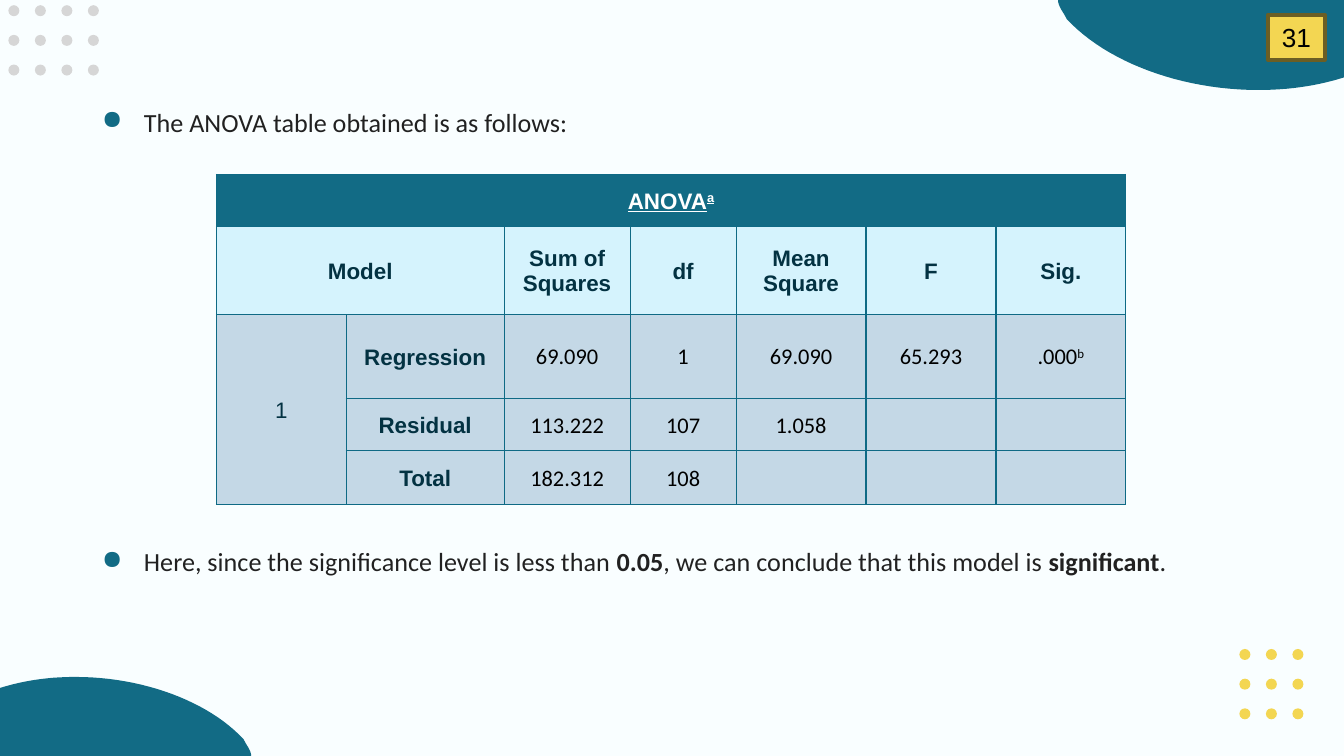
from lxml import etree
from pptx import Presentation
from pptx.dml.color import RGBColor
from pptx.enum.shapes import MSO_SHAPE
from pptx.enum.text import MSO_ANCHOR, PP_ALIGN
from pptx.oxml.ns import qn
from pptx.util import Pt

RECTANGLE, OVAL = MSO_SHAPE.RECTANGLE, MSO_SHAPE.OVAL
CENTER, MIDDLE = PP_ALIGN.CENTER, MSO_ANCHOR.MIDDLE

PAPER = RGBColor(0xF9, 0xFE, 0xFF)
TEAL = RGBColor(0x12, 0x6B, 0x85)
GRID = RGBColor(0x0F, 0x6A, 0x85)
NAVY = RGBColor(0x03, 0x32, 0x42)
PALE = RGBColor(0xD5, 0xF3, 0xFD)
STEEL = RGBColor(0xC4, 0xD8, 0xE6)
GRAY = RGBColor(0xD6, 0xD6, 0xD6)
YELLOW = RGBColor(0xF3, 0xD6, 0x52)
OLIVE = RGBColor(0x6B, 0x5E, 0x24)
INK = RGBColor(0x21, 0x21, 0x21)
BLACK = RGBColor(0, 0, 0)
WHITE = RGBColor(0xFF, 0xFF, 0xFF)

# Outline of the corner blob in fractions of its box, as cubic curves.
BLOB_CURVES = [
    [(0.3, 0), (0.2, 0), (0.1, 0.04), (0, 0.14)],
    [(1, 1), (1, 0.93), (0.98, 0.86), (0.97, 0.79)],
    [(0.97, 0.79), (0.83, 0.31), (0.57, 0), (0.3, 0)],
]
CURVE_STEPS = 24

COLUMN_WIDTHS = [69.6, 84.6, 67.5, 56.8, 69.6, 69.6, 69.6]
ROW_HEIGHTS = [28, 47.2, 45, 28, 28.8]
# A caret marks the start of a superscript.
ANOVA_ROWS = [
    ["ANOVA^a", "", "", "", "", "", ""],
    ["Model", "", "Sum of Squares", "df", "Mean Square", "F", "Sig."],
    ["1", "Regression", "69.090", "1", "69.090", "65.293", ".000^b"],
    ["", "Residual", "113.222", "107", "1.058", "", ""],
    ["", "Total", "182.312", "108", "", "", ""],
]
MERGES = [((0, 0), (0, 6)), ((1, 0), (1, 1)), ((2, 0), (4, 0))]


def paint(shape, color):
    shape.shadow.inherit = False
    shape.fill.solid()
    shape.fill.fore_color.rgb = color
    shape.line.fill.background()


def set_font(font, name, size, color, bold=False):
    font.name, font.size, font.bold = name, Pt(size), bold
    font.color.rgb = color


def curve_points(start, pull_out, pull_in, end):
    for step in range(CURVE_STEPS + 1):
        t = step / CURVE_STEPS
        weights = ((1 - t) ** 3, 3 * t * (1 - t) ** 2, 3 * t * t * (1 - t), t ** 3)
        corners = (start, pull_out, pull_in, end)
        yield tuple(sum(w * c[axis] for w, c in zip(weights, corners)) for axis in (0, 1))


def add_blob(page, left, top, width, height, turn=0):
    top_edge, right_edge, back = [list(curve_points(*curve)) for curve in BLOB_CURVES]
    outline = [(Pt(left + x * width), Pt(top + y * height))
               for x, y in top_edge + [(0, 1)] + right_edge + back]
    builder = page.shapes.build_freeform(*outline[0])
    builder.add_line_segments(outline[1:], close=True)
    blob = builder.convert_to_shape()
    blob.rotation = turn
    paint(blob, TEAL)


def add_dots(page, left, top, columns, rows, color):
    for column in range(columns):
        for row in range(rows):
            dot = page.shapes.add_shape(OVAL, Pt(left + column * 14.2), Pt(top + row * 15.9),
                                        Pt(5.9), Pt(5.9))
            paint(dot, color)


def add_bullet(para):
    props = para._p.get_or_add_pPr()
    props.set("marL", str(Pt(22.5)))
    props.set("indent", str(-Pt(22.5)))
    color = etree.SubElement(props, qn("a:buClr"))
    etree.SubElement(color, qn("a:srgbClr"), val=str(TEAL))
    etree.SubElement(props, qn("a:buChar"), char="●")


def add_statements(page, left, top, width, height):
    """Two bullets, with a gap between them that holds the table."""
    box = page.shapes.add_textbox(Pt(left), Pt(top), Pt(width), Pt(height))
    frame = box.text_frame
    frame.word_wrap = True
    frame.margin_left = frame.margin_right = frame.margin_top = frame.margin_bottom = Pt(7.2)
    statements = [
        [("The ANOVA table obtained is as follows:", False)],
        [("Here, since the significance level is less than ", False), ("0.05", True),
         (", we can conclude that this model is ", False), ("significant", True), (".", False)],
    ]
    for index, spans in enumerate(statements):
        para = frame.add_paragraph() if index else frame.paragraphs[0]
        if index:
            para.space_before = Pt(218.5)
        add_bullet(para)
        set_font(para.font, "Calibri", 14, INK)
        for text, bold in spans:
            span = para.add_run()
            span.text = text
            if bold:
                span.font.bold = True


def add_borders(cell):
    props = cell._tc.get_or_add_tcPr()
    for side in ("lnL", "lnR", "lnT", "lnB"):
        line = etree.SubElement(props, qn("a:" + side), w=str(Pt(0.75)))
        fill = etree.SubElement(line, qn("a:solidFill"))
        etree.SubElement(fill, qn("a:srgbClr"), val=str(GRID))


def fill_cell(cell, text, row, column):
    add_borders(cell)
    cell.fill.solid()
    cell.fill.fore_color.rgb = (TEAL, PALE)[row] if row < 2 else STEEL
    cell.vertical_anchor = MIDDLE
    cell.margin_left = cell.margin_right = cell.margin_top = Pt(0.75)
    cell.margin_bottom = 0
    para = cell.text_frame.paragraphs[0]
    para.alignment = CENTER
    if row == 0:
        set_font(para.font, "Arial", 12, WHITE, True)
        para.font.underline = True
    elif row == 1 or column < 2:
        set_font(para.font, "Arial", 12, NAVY, row == 1 or column == 1)
    else:
        set_font(para.font, "Calibri", 12, BLACK)
    if text:
        base, _, raised = text.partition("^")
        para.add_run().text = base
        if raised:
            note = para.add_run()
            note.text = raised
            note._r.get_or_add_rPr().set("baseline", "30000")


def add_anova_table(page, left, top):
    frame = page.shapes.add_table(len(ROW_HEIGHTS), len(COLUMN_WIDTHS), Pt(left), Pt(top),
                                  Pt(sum(COLUMN_WIDTHS)), Pt(sum(ROW_HEIGHTS)))
    table = frame.table
    table.first_row = table.horz_banding = False
    for column, width in zip(table.columns, COLUMN_WIDTHS):
        column.width = Pt(width)
    for row, height in zip(table.rows, ROW_HEIGHTS):
        row.height = Pt(height)
    for start, end in MERGES:
        table.cell(*start).merge(table.cell(*end))
    for row, texts in enumerate(ANOVA_ROWS):
        for column, text in enumerate(texts):
            fill_cell(table.cell(row, column), text, row, column)


def add_page_number(page, left, top, width, height):
    box = page.shapes.add_shape(RECTANGLE, Pt(left), Pt(top), Pt(width), Pt(height))
    paint(box, YELLOW)
    box.line.color.rgb = OLIVE
    box.line.width = Pt(2)
    frame = box.text_frame
    frame.margin_left = frame.margin_right = frame.margin_top = frame.margin_bottom = 0
    frame.vertical_anchor = MIDDLE
    para = frame.paragraphs[0]
    para.text = "31"
    para.alignment = CENTER
    set_font(para.font, "Arial", 14, BLACK)


def main():
    deck = Presentation()
    deck.slide_width, deck.slide_height = Pt(720), Pt(405)
    page = deck.slides.add_slide(deck.slide_layouts[6])
    page.background.fill.solid()
    page.background.fill.fore_color.rgb = PAPER
    add_blob(page, 0, 362.7, 134.6, 42.3)
    add_dots(page, 4.5, 2.8, 4, 3, GRAY)
    add_blob(page, 566.8, 0, 153.2, 48.2, turn=180)
    add_dots(page, 664, 347.7, 3, 3, YELLOW)
    add_statements(page, 47.5, 49.6, 625, 324)
    add_anova_table(page, 115.9, 93.4)
    add_page_number(page, 679.2, 7.9, 30.6, 24.2)
    deck.save("out.pptx")


if __name__ == "__main__":
    main()
